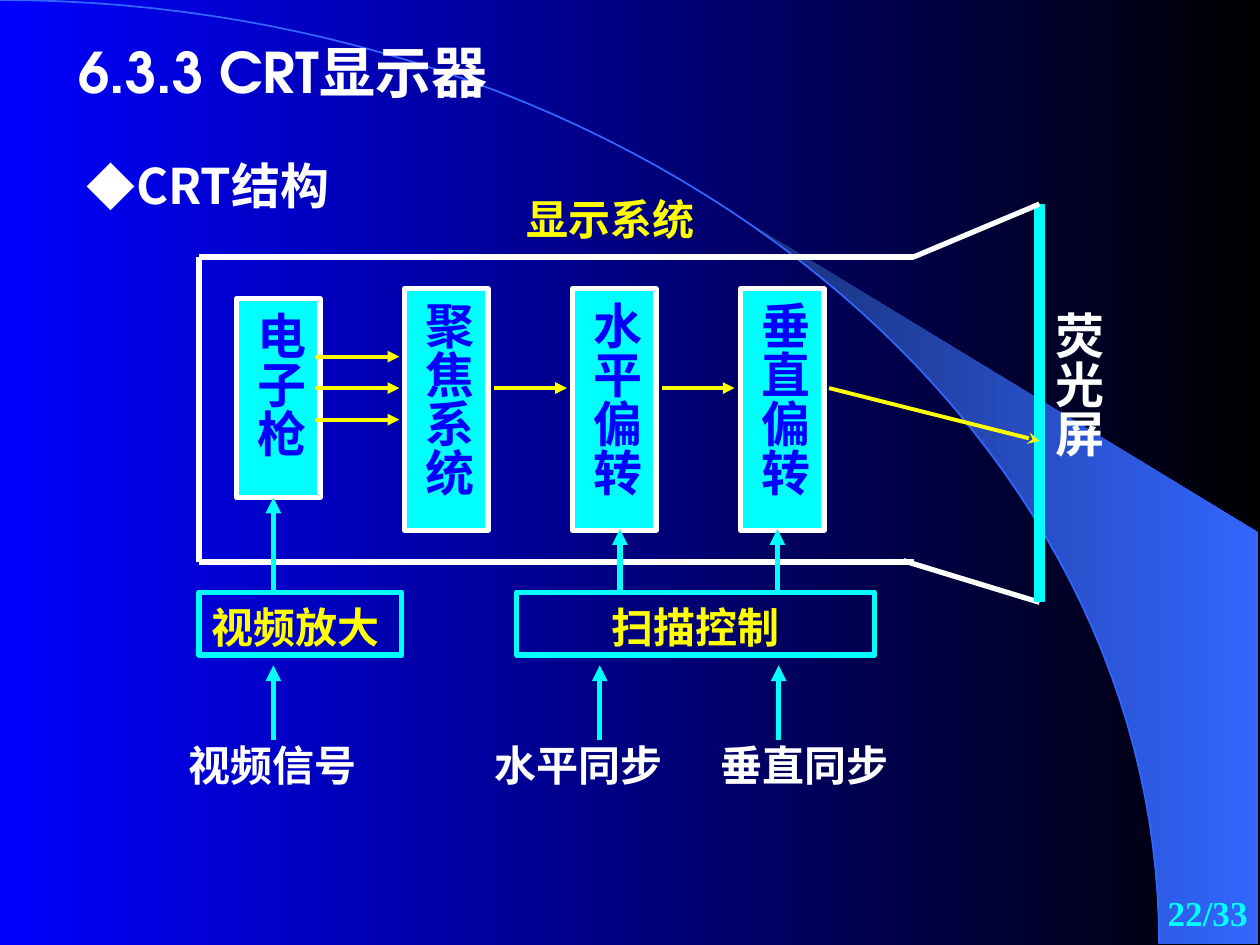
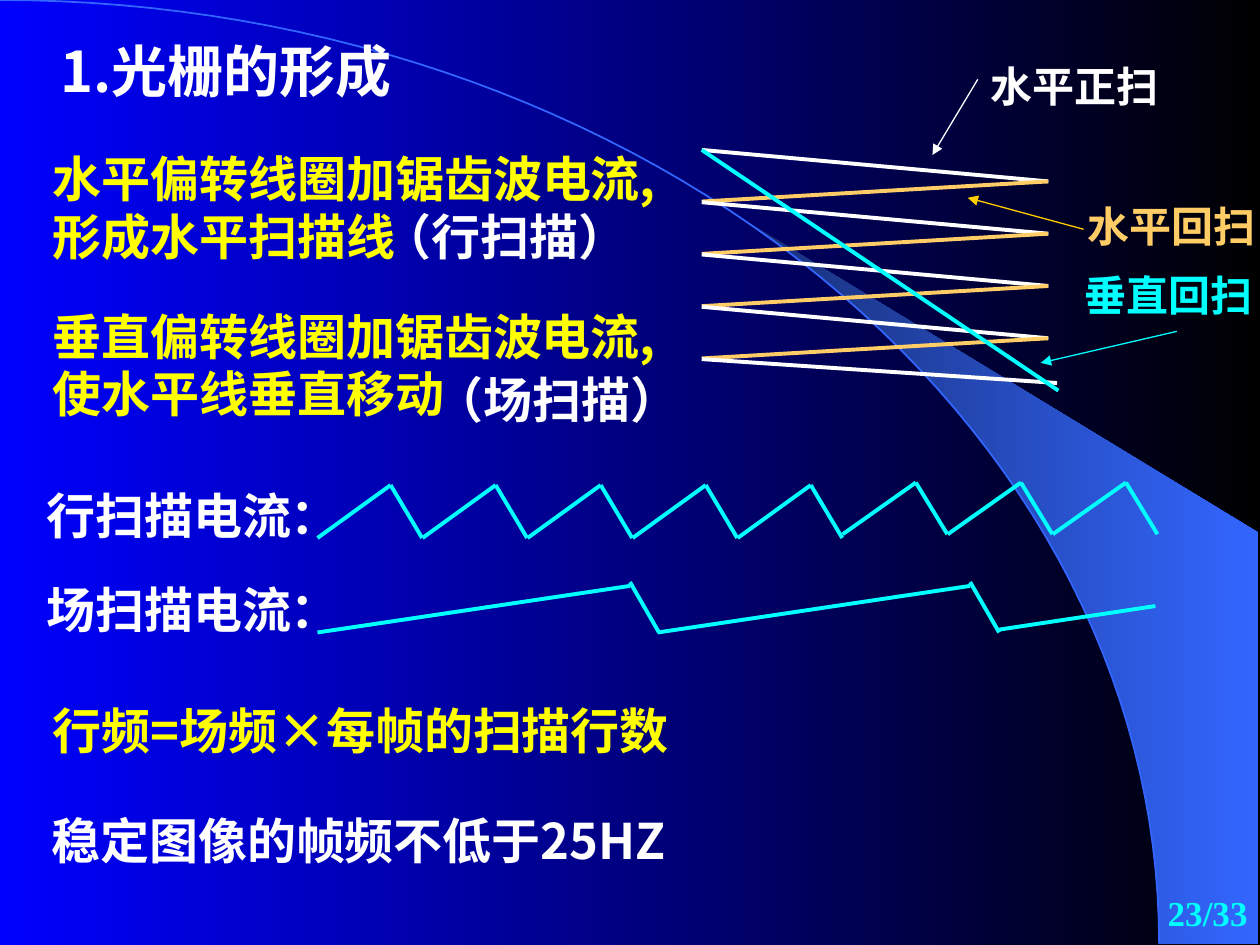
"""Build two slides on CRT display structure and raster scanning."""
import math

import pptx
import pptx.dml.color
import pptx.enum.shapes
import pptx.enum.text
import pptx.oxml
import pptx.oxml.ns
import pptx.util
from pptx.util import Inches

RGBColor = pptx.dml.color.RGBColor
BLUE = RGBColor(0x00, 0x00, 0xFF)
BLACK = RGBColor(0x00, 0x00, 0x00)
NAVY = RGBColor(0x18, 0x2F, 0x76)
SKY = RGBColor(0x33, 0x66, 0xFF)
WHITE = RGBColor(0xFF, 0xFF, 0xFF)
YELLOW = RGBColor(0xFF, 0xFF, 0x00)
CYAN = RGBColor(0x00, 0xFF, 0xFF)
ORANGE = RGBColor(0xFF, 0xCC, 0x66)
GOLD = RGBColor(0xFF, 0xCC, 0x00)

LEFT = pptx.enum.text.PP_ALIGN.LEFT
CENTER = pptx.enum.text.PP_ALIGN.CENTER
RIGHT = pptx.enum.text.PP_ALIGN.RIGHT
TOP = pptx.enum.text.MSO_ANCHOR.TOP

CJK_FONT = "Noto Sans CJK SC"
TITLE_FONT = "TeX Gyre Adventor"
SERIF_FONT = "Times New Roman"
ARC_WIDTH, ARC_HEIGHT = 9.2, 7.49


def add_element(parent, tag, **attributes):
    """Append an empty drawing element to a parent."""
    child = pptx.oxml.parse_xml(f"<a:{tag} {pptx.oxml.ns.nsdecls('a')}/>")
    for name, value in attributes.items():
        child.set(name, value)
    parent.append(child)
    return child


def arc_points(start, steps=60):
    """Return points on the quarter ellipse from a start angle."""
    angles = [start + (math.pi / 2 - start) * i / steps for i in range(steps + 1)]
    return [(ARC_WIDTH * math.sin(a), ARC_HEIGHT * (1 - math.cos(a))) for a in angles]


class Slides:
    """Hold the deck style and draw elements on the current slide."""

    def __init__(self):
        """Create the deck with its shared background."""
        self.deck = pptx.Presentation()
        self.deck.slide_width = Inches(10)
        self.deck.slide_height = Inches(7.5)
        self.page = None
        self.gradient(self.deck.slide_master.background.fill, BLUE, BLACK)

    def gradient(self, fill, first, last):
        """Apply a left-to-right gradient."""
        fill.gradient()
        fill.gradient_angle = 0
        for stop, color in zip(fill.gradient_stops, (first, last)):
            stop.color.rgb = color

    def outline(self, points, closed):
        """Draw a freeform through points given in inches."""
        corners = [(Inches(x), Inches(y)) for x, y in points]
        builder = self.page.shapes.build_freeform(*corners[0])
        builder.add_line_segments(corners[1:], close=closed)
        shape = builder.convert_to_shape()
        shape.shadow.inherit = False
        return shape

    def decorate_master(self):
        """Place the light beam and the arc on the slide master."""
        edge = arc_points(math.asin(5.89 / ARC_WIDTH))
        beam = self.outline(edge + [(9.99, 7.49), (9.99, 4.23)], True)
        self.gradient(beam.fill, NAVY, SKY)
        beam.line.fill.background()
        arc = self.outline(arc_points(0), False)
        arc.fill.background()
        arc.line.color.rgb = SKY
        arc.line.width = pptx.util.Pt(1)
        tree = self.deck.slide_master.element.cSld.spTree
        for index, shape in enumerate((beam, arc)):
            shape.element.nvSpPr.cNvPr.set("id", str(100 + index))
            tree.insert(2 + index, shape.element)

    def start(self, layout, title, place, number, font=CJK_FONT):
        """Begin a slide with its title and page number."""
        self.page = self.deck.slides.add_slide(self.deck.slide_layouts[layout])
        if len(self.deck.slides) == 1:
            self.decorate_master()
        self.put(self.page.shapes.title, place)
        self.set_text(self.page.shapes.title, title, 32, WHITE, font=font)
        self.text(number, (7.92, 7, 2.08, 0.5), 20, CYAN, RIGHT, SERIF_FONT)

    def put(self, shape, place):
        """Move a shape to a place given in inches."""
        shape.left, shape.top, shape.width, shape.height = map(Inches, place)

    def set_text(self, shape, text, size, color, align=LEFT, font=CJK_FONT,
                 vertical=False, bullet=None):
        """Fill a shape with one formatted paragraph."""
        frame = shape.text_frame
        frame.text = text
        frame.word_wrap = True
        frame.auto_size = pptx.enum.text.MSO_AUTO_SIZE.NONE
        frame.vertical_anchor = TOP
        lead = Inches(0.05) + pptx.util.Pt(0.1 * size)
        if vertical:
            frame.margin_left, frame.margin_right = Inches(0.05), lead
            frame.margin_top = frame.margin_bottom = Inches(0.1)
            shape.element.txBody.bodyPr.set("vert", "eaVert")
        else:
            frame.margin_left = Inches(0.1)
            frame.margin_right = Inches(0 if align == LEFT else 0.1)
            frame.margin_top, frame.margin_bottom = lead, 0
        para = frame.paragraphs[0]
        para.alignment = align
        para.space_before = pptx.util.Pt(0)
        para.line_spacing = pptx.util.Pt(round(1.18 * size))
        if bullet:
            properties = para._p.get_or_add_pPr()
            properties.set("marL", str(Inches(0.39)))
            properties.set("indent", str(-Inches(0.39)))
            add_element(add_element(properties, "buClr"), "srgbClr", val=str(color))
            add_element(properties, "buFont", typeface=CJK_FONT)
            add_element(properties, "buChar", char=bullet)
        for span in para.runs:
            span.font.size = pptx.util.Pt(size)
            span.font.bold = True
            span.font.color.rgb = color
            span.font.name = font
            add_element(span.font._element, "ea", typeface=CJK_FONT)

    def text(self, text, place, size, color, align=LEFT, font=CJK_FONT, vertical=False):
        """Add a text box."""
        box = self.page.shapes.add_textbox(*map(Inches, place))
        self.set_text(box, text, size, color, align, font, vertical)

    def body(self, text, place):
        """Fill the body placeholder with a bulleted heading."""
        holder = self.page.placeholders[1]
        self.put(holder, place)
        self.set_text(holder, text, 28, WHITE, bullet="◆")

    def box(self, text, place, size, color, border, fill=None, align=CENTER, vertical=False):
        """Add a bordered rectangle with text."""
        kind = pptx.enum.shapes.MSO_SHAPE.RECTANGLE
        shape = self.page.shapes.add_shape(kind, *map(Inches, place))
        shape.shadow.inherit = False
        if fill is None:
            shape.fill.background()
        else:
            shape.fill.solid()
            shape.fill.fore_color.rgb = fill
        shape.line.color.rgb = border
        shape.line.width = pptx.util.Pt(3)
        self.set_text(shape, text, size, color, align, SERIF_FONT, vertical)

    def line(self, start, end, color, width=2.25, arrow=None):
        """Add a straight line, with an arrowhead at its end if named."""
        kind = pptx.enum.shapes.MSO_CONNECTOR.STRAIGHT
        connector = self.page.shapes.add_connector(kind, *map(Inches, start + end))
        connector.line.color.rgb = color
        connector.line.width = pptx.util.Pt(width)
        if arrow:
            add_element(connector.line._get_or_add_ln(), "tailEnd", type=arrow)
        add_element(connector.element.spPr, "effectLst")

    def arrow(self, start, end, color, width=2.25):
        """Add a line with a triangular arrowhead."""
        self.line(start, end, color, width, "triangle")


def draw_structure(slides):
    """Draw the structure of the tube."""
    slides.start(1, "6.3.3 CRT显示器", (0.52, 0.21, 7, 0.64), "22/33", TITLE_FONT)
    slides.body("CRT结构", (0.59, 1.15, 2.83, 0.57))

    slides.line((7.17, 4.45), (8.25, 4.78), WHITE, 3)
    slides.line((8.25, 1.62), (8.25, 4.78), CYAN, 6)
    tube = [(7.25, 4.46), (1.58, 4.46), (1.58, 2.04), (7.25, 2.04), (8.25, 1.62)]
    for start, end in zip(tube, tube[1:]):
        slides.line(start, end, WHITE, 3)
    slides.text("荧光屏", (8.21, 2.37, 0.66, 1.92), 28, WHITE, CENTER, SERIF_FONT, True)
    slides.text("显示系统", (4.08, 1.46, 2.33, 0.5), 24, YELLOW, font=SERIF_FONT)

    for index, stage in enumerate(("电子枪", "聚焦系统", "水平偏转", "垂直偏转")):
        top, height = (2.37, 1.58) if index == 0 else (2.29, 1.92)
        place = (1.88 + 4 / 3 * index, top, 0.66, height)
        slides.box(stage, place, 28, BLUE, WHITE, CYAN, vertical=True)

    for y in (2.83, 3.08, 3.33):
        slides.arrow((2.5, y), (3.17, y), YELLOW)
    for x in (3.92, 5.25):
        slides.arrow((x, 3.08), (x + 0.58, 3.08), YELLOW)
    slides.line((6.58, 3.08), (8.25, 3.5), YELLOW, arrow="stealth")

    slides.box("视频放大", (1.58, 4.7, 1.61, 0.5), 24, YELLOW, CYAN, align=LEFT)
    slides.box("扫描控制", (4.1, 4.7, 2.84, 0.5), 24, YELLOW, CYAN)
    for x, top in ((2.17, 3.95), (4.92, 4.2), (6.17, 4.2)):
        slides.arrow((x, 4.7), (x, top), CYAN, 3)
    signals = (("视频信号", 1.16, 2, 2.17), ("水平同步", 3.79, 1.61, 4.76),
               ("垂直同步", 5.52, 1.73, 6.18))
    for signal, left, width, x in signals:
        slides.arrow((x, 5.87), (x, 5.28), CYAN, 3)
        slides.text(signal, (left, 5.8, width, 0.5), 24, WHITE, CENTER, SERIF_FONT)


def draw_raster(slides):
    """Draw the raster and the scanning currents."""
    slides.start(5, "1.光栅的形成", (0.38, 0.2, 3.83, 0.64), "23/33")

    left, right = 5.57, 8.32
    for row in range(4):
        y = 1.19 + 0.83 / 2 * row
        slides.line((left, y), (right, y + 0.25), WHITE)
        slides.line((right, y + 0.25), (left, y + 0.41), ORANGE)
    slides.line((left, 2.85), (8.39, 3.04), WHITE)
    slides.line((left, 1.19), (8.4, 3.1), CYAN)

    scans = (
        ("水平正扫", (7.76, 0.41, 1.81, 0.5), WHITE, (7.76, 0.63), (7.4, 1.23), WHITE),
        ("水平回扫", (8.53, 1.52, 1.47, 0.5), ORANGE, (8.6, 1.82), (7.68, 1.57), GOLD),
        ("垂直回扫", (8.51, 2.07, 1.49, 0.5), CYAN, (9.34, 2.63), (8.26, 2.88), CYAN),
    )
    for label, place, color, start, end, line_color in scans:
        slides.text(label, place, 24, color, font=SERIF_FONT)
        slides.arrow(start, end, line_color, 0.75)

    statements = (
        ("水平偏转线圈加锯齿波电流,形成水平扫描线", 0.32, 1.1, 5.15, 1.04, YELLOW),
        ("（行扫描）", 2.94, 1.56, 2.33, 0.57, WHITE),
        ("垂直偏转线圈加锯齿波电流,使水平线垂直移动", 0.32, 2.35, 5.23, 1.04, YELLOW),
        ("（场扫描）", 3.35, 2.85, 2.33, 0.57, WHITE),
        ("行扫描电流：", 0.27, 3.77, 3, 0.57, WHITE),
        ("场扫描电流：", 0.27, 4.52, 3, 0.57, WHITE),
        ("行频=场频×每帧的扫描行数", 0.32, 5.48, 5.78, 0.57, YELLOW),
        ("稳定图像的帧频不低于25HZ", 0.31, 6.35, 9.1, 0.57, WHITE),
    )
    for statement, *place, color in statements:
        slides.text(statement, place, 28, color)

    for tooth in range(8):
        x = 2.52 + 6.67 / 8 * tooth
        low, high = (4.27, 3.85) if tooth < 5 else (4.24, 3.83)
        slides.line((x, low), (x + 0.58, high), CYAN)
        slides.line((x + 0.58, high), (x + 0.83, low), CYAN)
    for x in (2.52, 5.22):
        slides.line((x, 5.02), (x + 2.48, 4.65), CYAN)
        slides.line((x + 2.48, 4.62), (x + 2.71, 5.02), CYAN)
    slides.line((7.91, 5), (9.17, 4.81), CYAN)


def main():
    """Build and save the deck."""
    slides = Slides()
    draw_structure(slides)
    draw_raster(slides)
    slides.deck.save("out.pptx")


if __name__ == "__main__":
    main()
